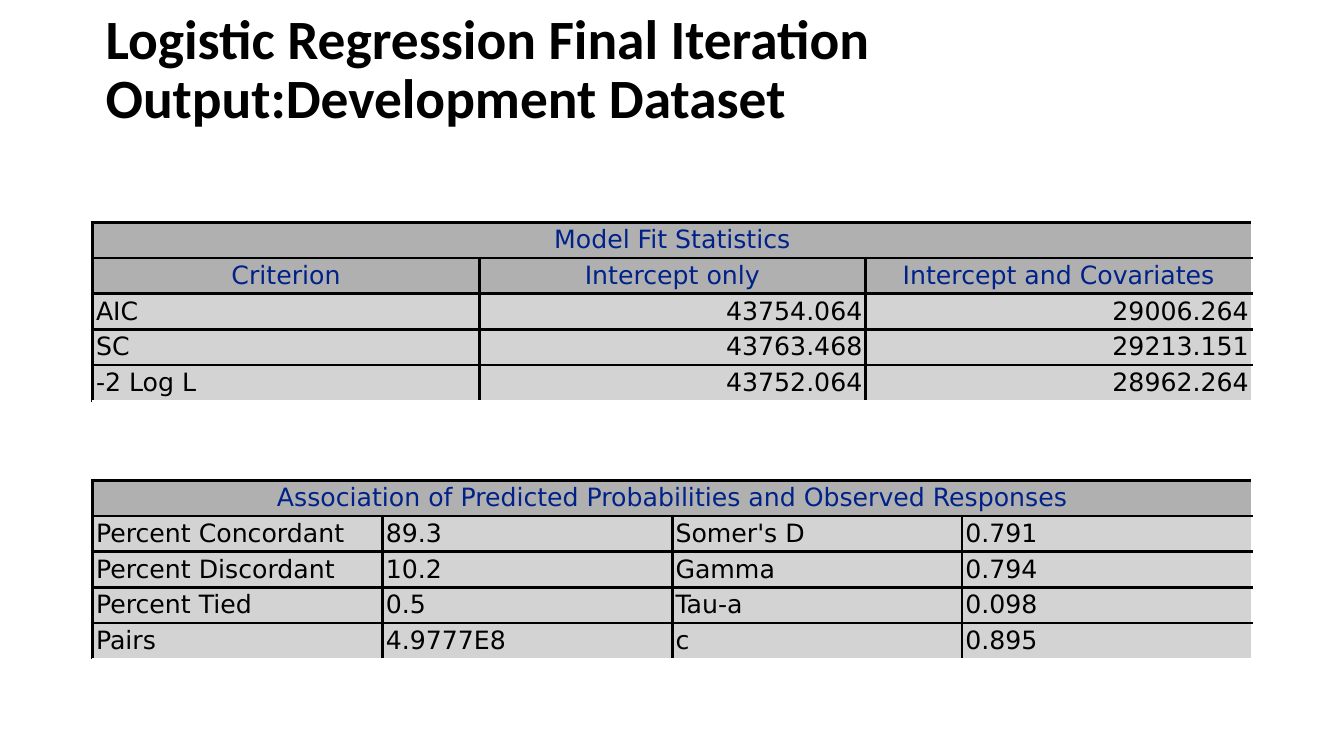
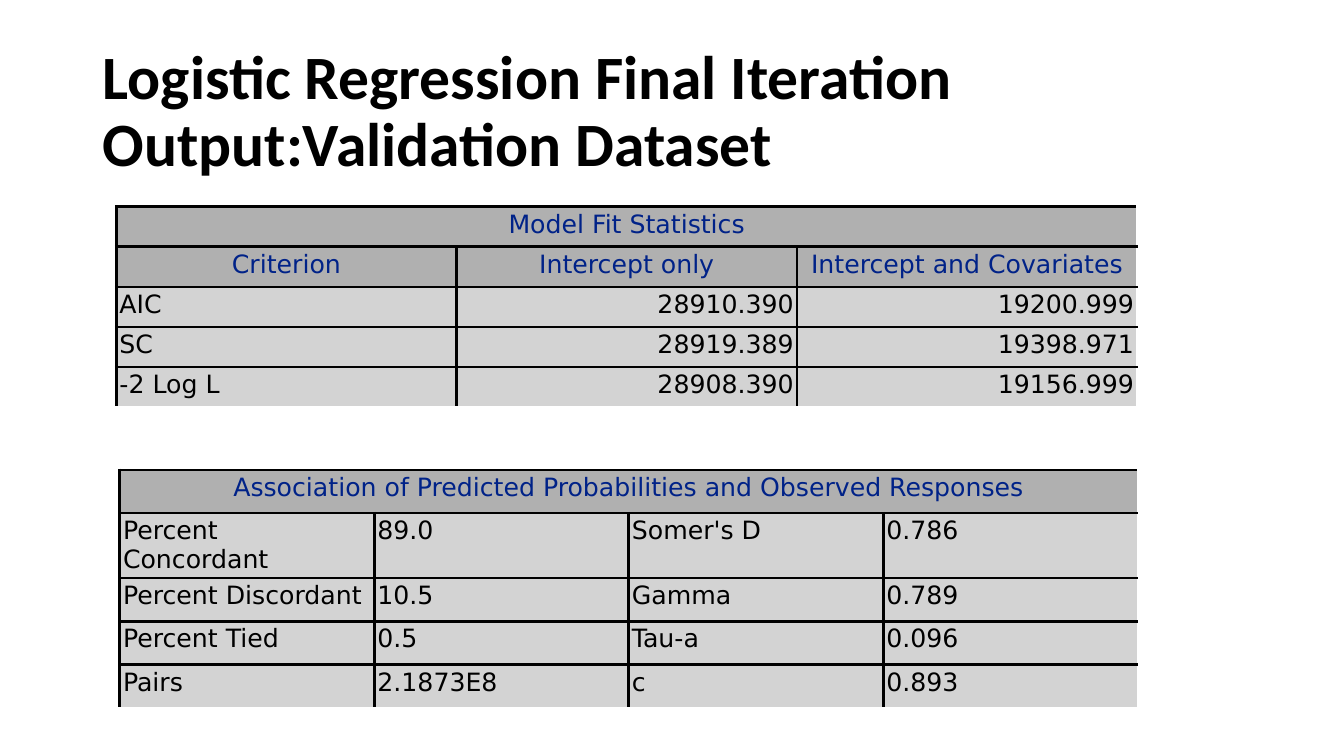
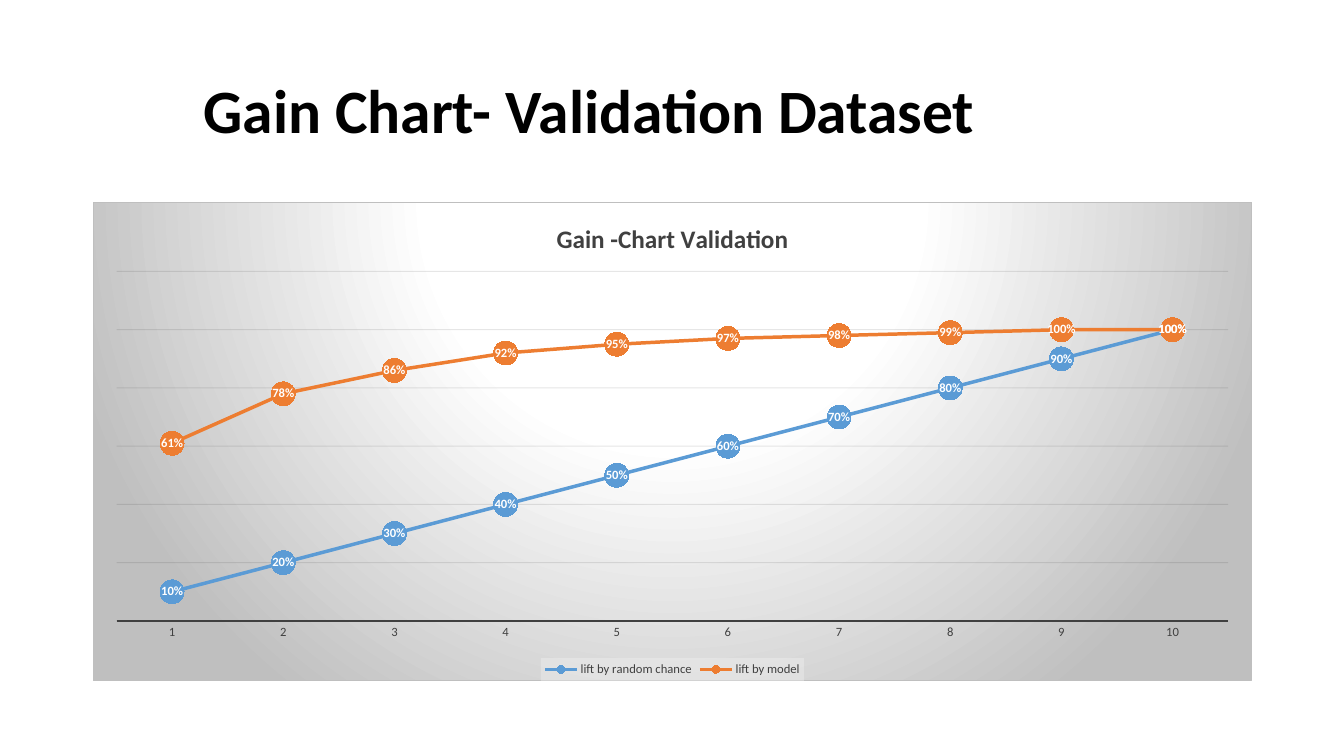
from dataclasses import dataclass

import lxml.etree
import pptx
import pptx.chart.data
import pptx.dml.color
import pptx.enum.chart
import pptx.enum.text
import pptx.oxml
import pptx.oxml.ns
import pptx.util
from pptx.util import Cm, Pt

# Shared look
SANS, GRID = "Calibri", "DejaVu Sans"
BLACK, WHITE, NAVY = "000000", "FFFFFF", "002288"
HEAD, BODY = "B0B0B0", "D3D3D3"
DARK, EDGE = "404040", "BFBFBF"
INSET = Cm(0.08)
ALIGN = pptx.enum.text.PP_ALIGN
qn = pptx.oxml.ns.qn


@dataclass
class Title:
    text: str
    left: float = 2.34
    top: float = 1.01
    size: float = 44
    indent: float = 0.25
    base: float = 0.13


@dataclass
class Grid:
    """A table: the first row is one merged heading."""
    left: float
    top: float
    width: float
    row: float
    cells: list[list[str]]
    heads: int = 1
    figures: bool = False


@dataclass
class Line:
    name: str
    color: str
    values: list[float]


def rgb(code: str) -> pptx.dml.color.RGBColor:
    return pptx.dml.color.RGBColor.from_string(code)


def style(font, face: str, size: float, color: str, bold: bool = False) -> None:
    font.name, font.size, font.bold = face, Pt(size), bold
    font.color.rgb = rgb(color)


def stroke(line, color: str, width: float) -> None:
    line.color.rgb = rgb(color)
    line.width = Pt(width)


def make(tag: str, body: str):
    """Build one XML element from its tag and inner markup."""
    names = pptx.oxml.ns.nsdecls("a", "c")
    return pptx.oxml.parse_xml(f"<{tag} {names}>{body}</{tag}>")


def add_page(deck, title: Title):
    """Add a slide with its title placeholder set."""
    page = deck.slides.add_slide(deck.slide_layouts[5])
    box = page.shapes.title
    box.left, box.top = Cm(title.left), Cm(title.top)
    box.width, box.height = Cm(29.21), Cm(3.68)
    frame = box.text_frame
    frame.text = title.text
    frame.word_wrap = True
    frame.auto_size = pptx.enum.text.MSO_AUTO_SIZE.NONE
    frame.vertical_anchor = pptx.enum.text.MSO_ANCHOR.MIDDLE
    frame.margin_left, frame.margin_right = Cm(title.indent), Cm(0.25)
    frame.margin_top, frame.margin_bottom = Cm(0.13), Cm(title.base)
    para = frame.paragraphs[0]
    para.alignment, para.line_spacing = ALIGN.LEFT, 0.9
    style(para.runs[0].font, SANS, title.size, BLACK, True)
    return page


def set_edges(cell, last_col: bool, last_row: bool) -> None:
    """Black rules inside; thin white ones on the right and bottom rim."""
    white = {"L": False, "R": last_col, "T": False, "B": last_row}
    props = cell._tc.get_or_add_tcPr()
    for side, rim in white.items():
        color, width = (WHITE, 1.13) if rim else (BLACK, 2.25)
        edge = lxml.etree.SubElement(props, qn(f"a:ln{side}"), w=str(Pt(width)))
        fill = lxml.etree.SubElement(edge, qn("a:solidFill"))
        lxml.etree.SubElement(fill, qn("a:srgbClr"), val=color)


def add_grid(page, grid: Grid) -> None:
    rows, cols = len(grid.cells), len(grid.cells[-1])
    table = page.shapes.add_table(
        rows, cols, Cm(grid.left), Cm(grid.top),
        Cm(grid.width), Cm(grid.row * rows)).table
    table.first_row = table.horz_banding = False
    for row in table.rows:
        row.height = Cm(grid.row)
    table.cell(0, 0).merge(table.cell(0, cols - 1))
    for r, texts in enumerate(grid.cells):
        head = r < grid.heads
        for c, text in enumerate(texts):
            cell = table.cell(r, c)
            set_edges(cell, c + cell.span_width == cols, r == rows - 1)
            cell.fill.solid()
            cell.fill.fore_color.rgb = rgb(HEAD if head else BODY)
            cell.margin_left = cell.margin_right = INSET
            cell.margin_top = cell.margin_bottom = INSET
            para = cell.text_frame.paragraphs[0]
            para.text = text
            right = grid.figures and c > 0
            para.alignment = (ALIGN.CENTER if head else
                              ALIGN.RIGHT if right else ALIGN.LEFT)
            style(para.runs[0].font, GRID, 18, NAVY if head else BLACK)


def fit_grid(left: float, top: float, width: float, row: float,
             only: list[str], full: list[str]) -> Grid:
    names = ["AIC", "SC", "-2 Log L"]
    cells = [["Model Fit Statistics"],
             ["Criterion", "Intercept only", "Intercept and Covariates"]]
    cells += [list(item) for item in zip(names, only, full)]
    return Grid(left, top, width, row, cells, heads=2, figures=True)


def pair_grid(left: float, top: float, width: float, row: float,
              shares: list[str], scores: list[str]) -> Grid:
    names = ["Percent Concordant", "Percent Discordant", "Percent Tied", "Pairs"]
    tests = ["Somer's D", "Gamma", "Tau-a", "c"]
    cells = [["Association of Predicted Probabilities and Observed Responses"]]
    cells += [list(item) for item in zip(names, shares, tests, scores)]
    return Grid(left, top, width, row, cells)


def fill_chart(chart) -> None:
    """Radial backdrop, fixed plot frame and pale legend panel."""
    stops = "".join(
        f'<a:gs pos="{pos}000"><a:srgbClr val="{color}"/></a:gs>'
        for pos, color in [(0, WHITE), (39, WHITE), (100, EDGE)])
    back = make("c:spPr", (
        f'<a:gradFill><a:gsLst>{stops}</a:gsLst><a:path path="circle">'
        '<a:fillToRect l="50000" t="-80000" r="50000" b="180000"/></a:path>'
        f'</a:gradFill><a:ln w="{Pt(0.75)}"><a:solidFill>'
        f'<a:srgbClr val="{EDGE}"/></a:solidFill></a:ln>'))
    root = chart._chartSpace
    root.find(qn("c:chart")).addnext(back)

    area = root.find(".//" + qn("c:plotArea"))
    for old in area.findall(qn("c:layout")):
        area.remove(old)
    frame = {"x": 0.02, "y": 0.145, "w": 0.96, "h": 0.73}
    modes = '<c:xMode val="edge"/><c:yMode val="edge"/>'
    sizes = "".join(f'<c:{key} val="{val}"/>' for key, val in frame.items())
    area.insert(0, make("c:layout", (
        '<c:manualLayout><c:layoutTarget val="inner"/>'
        f"{modes}{sizes}</c:manualLayout>")))

    panel = make("c:spPr", (
        '<a:solidFill><a:srgbClr val="F2F2F2"><a:alpha val="39000"/>'
        "</a:srgbClr></a:solidFill>"))
    root.find(".//" + qn("c:legend")).find(qn("c:overlay")).addnext(panel)


def add_gain(page, lines: list[Line]) -> None:
    kinds = pptx.enum.chart
    data = pptx.chart.data.CategoryChartData(number_format="0%")
    data.categories = [str(n) for n in range(1, 11)]
    for line in lines:
        data.add_series(line.name, line.values)
    chart = page.shapes.add_chart(
        kinds.XL_CHART_TYPE.LINE_MARKERS, Cm(2.34), Cm(5.08),
        Cm(29.21), Cm(12.09), data).chart
    style(chart.font, SANS, 10, BLACK)

    # Title and legend
    head = chart.chart_title.text_frame
    head.text = "Gain -Chart Validation"
    style(head.paragraphs[0].runs[0].font, SANS, 18, DARK, True)
    chart.has_legend = True
    chart.legend.position = kinds.XL_LEGEND_POSITION.BOTTOM
    chart.legend.include_in_layout = False
    style(chart.legend.font, SANS, 9, DARK)

    # Axes
    axis = chart.category_axis
    axis.major_tick_mark = kinds.XL_TICK_MARK.NONE
    style(axis.tick_labels.font, SANS, 9, DARK)
    stroke(axis.format.line, DARK, 1.5)
    scale = chart.value_axis
    scale.minimum_scale, scale.maximum_scale, scale.major_unit = 0, 1.2, 0.2
    scale.tick_labels.number_format = "0%"
    scale.tick_labels.number_format_is_linked = False
    scale.has_major_gridlines = True
    rule = scale.major_gridlines.format.line
    stroke(rule, "0D0D0D", 0.75)
    tint = scale._element.find(".//" + qn("a:srgbClr"))
    lxml.etree.SubElement(tint, qn("a:alpha"), val="10000")
    scale.visible = False

    # Series
    chart.plots[0].vary_by_categories = False
    for line, series in zip(lines, chart.plots[0].series):
        series.smooth = False
        stroke(series.format.line, line.color, 2.5)
        mark = series.marker
        mark.style, mark.size = kinds.XL_MARKER_STYLE.CIRCLE, 17
        mark.format.fill.solid()
        mark.format.fill.fore_color.rgb = rgb(line.color)
        mark.format.line.fill.background()
        tags = series.data_labels
        tags.show_value = True
        tags.position = kinds.XL_LABEL_POSITION.CENTER
        tags.number_format, tags.number_format_is_linked = "0%", False
        style(tags.font, SANS, 9, WHITE, True)
    fill_chart(chart)


deck = pptx.Presentation()
deck.slide_width, deck.slide_height = Cm(33.87), Cm(19.05)

# Slide 1: development results
page = add_page(deck, Title(
    "Logistic Regression Final Iteration Output:Development Dataset",
    left=2.41, top=0.71, size=39.6, base=1.65))
add_grid(page, fit_grid(
    2.34, 5.6, 29.21, 0.9,
    ["43754.064", "43763.468", "43752.064"],
    ["29006.264", "29213.151", "28962.264"]))
add_grid(page, pair_grid(
    2.34, 12.1, 29.21, 0.9,
    ["89.3", "10.2", "0.5", "4.9777E8"],
    ["0.791", "0.794", "0.098", "0.895"]))

# Slide 2: validation results
page = add_page(deck, Title(
    "Logistic Regression Final Iteration Output:Validation Dataset"))
add_grid(page, fit_grid(
    2.93, 5.21, 25.73, 1.01,
    ["28910.390", "28919.389", "28908.390"],
    ["19200.999", "19398.971", "19156.999"]))
add_grid(page, pair_grid(
    3.02, 11.84, 25.65, 1.09,
    ["89.0", "10.5", "0.5", "2.1873E8"],
    ["0.786", "0.789", "0.096", "0.893"]))

# Slide 3: gain chart
page = add_page(deck, Title("Gain Chart- Validation Dataset", indent=2.79))
add_gain(page, [
    Line("lift by random chance", "5B9BD5", [n / 10 for n in range(1, 11)]),
    Line("lift by model", "ED7D31",
         [0.61, 0.78, 0.86, 0.92, 0.95, 0.97, 0.98, 0.99, 1, 1]),
])

deck.save("out.pptx")
